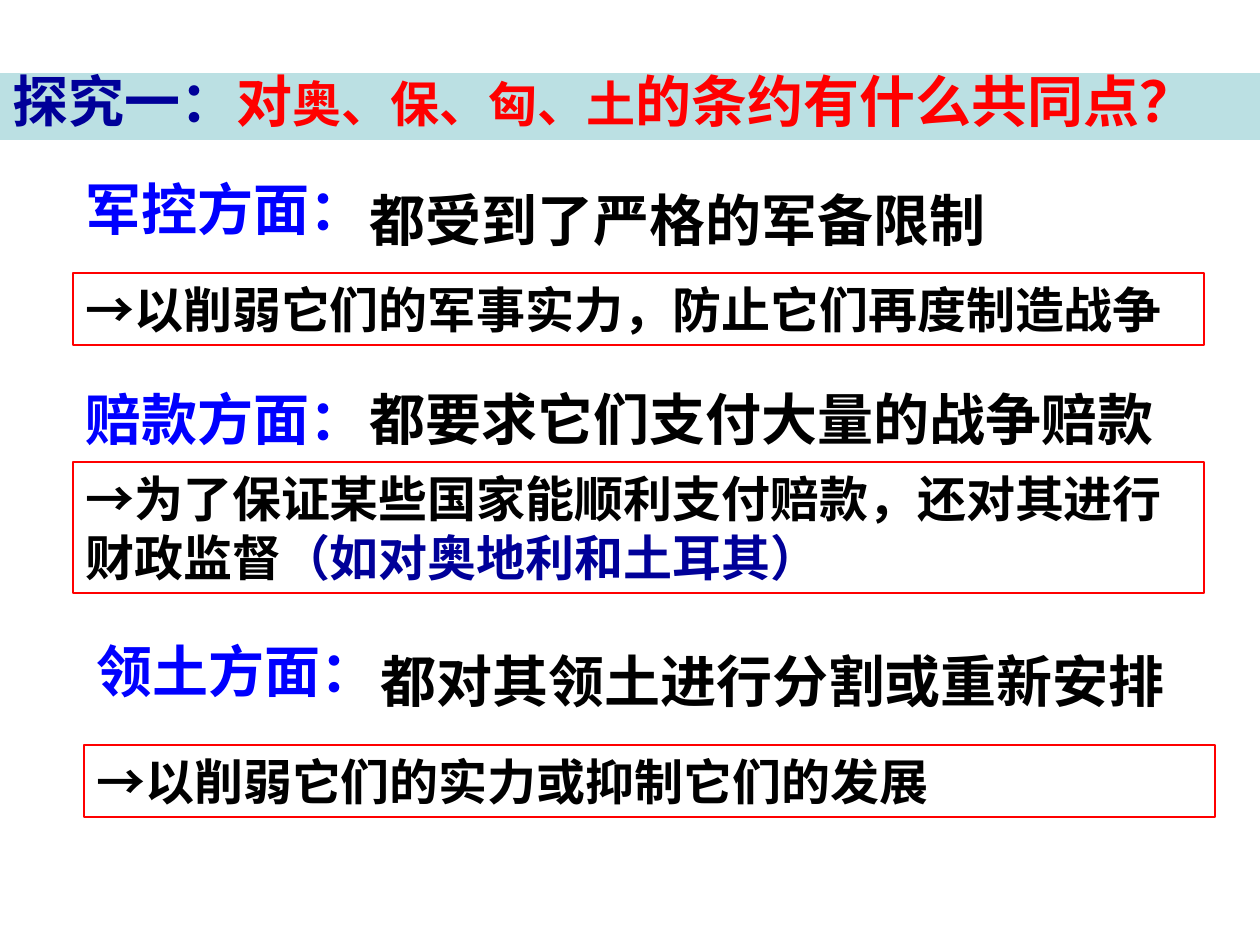
from pptx import Presentation, util as u
from pptx.dml.color import RGBColor
from pptx.enum import shapes, text

PX = 914400 / 126  # EMU per px
W, H = 1260, 945

BAND = RGBColor(0xBB, 0xE0, 0xE3)
NAVY = RGBColor(0x00, 0x00, 0x99)
BLUE = RGBColor(0x00, 0x00, 0xFF)
RED = RGBColor(0xFF, 0x00, 0x00)
BLACK = RGBColor(0x00, 0x00, 0x00)

LARGE, SMALL = 32, 28

# Runs: (text, colour, size)
TITLE = [
    ("探究一：", NAVY, LARGE),
    ("对", RED, LARGE),
    ("奥、保、匈、土", RED, SMALL),
    ("的条约有什么共同点？", RED, LARGE),
]

# Each aspect: left, (label, top), (finding, top, width), (purpose runs, top, height)
ASPECTS = [
    (73, ("军控方面：", 168), ("都受到了严格的军备限制", 179, 714),
     ([("→以削弱它们的军事实力，防止它们再度制造战争", BLACK, SMALL)], 273, 72)),
    (73, ("赔款方面：", 378), ("都要求它们支付大量的战争赔款", 378, 814),
     ([("→为了保证某些国家能顺利支付赔款，还对其进行财政监督", BLACK, SMALL),
       ("（如对奥地利和土耳其）", NAVY, SMALL)], 462, 131)),
    (84, ("领土方面：", 630), ("都对其领土进行分割或重新安排", 640, 814),
     ([("→以削弱它们的实力或抑制它们的发展", BLACK, SMALL)], 745, 72)),
]
LABEL_W, LINE_H = 397, 81
FINDING_DX = 284
PURPOSE_W = 1131


def px(n):
    return u.Emu(round(n * PX))


def add_text(s, runs, x, y, w, h, fill=None, line=None, spacing=None):
    box = [px(n) for n in (x, y, w, h)]
    if fill is None and line is None:
        sp = s.shapes.add_textbox(*box)
    else:
        sp = s.shapes.add_shape(shapes.MSO_SHAPE.RECTANGLE, *box)
        sp.shadow.inherit = False
        if fill is None:
            sp.fill.background()
        else:
            sp.fill.solid()
            sp.fill.fore_color.rgb = fill
        if line is None:
            sp.line.fill.background()
        else:
            sp.line.color.rgb = line
            sp.line.width = u.Pt(0.75)
    tf = sp.text_frame
    tf.word_wrap = True
    tf.auto_size = text.MSO_AUTO_SIZE.SHAPE_TO_FIT_TEXT
    tf.vertical_anchor = text.MSO_ANCHOR.TOP
    p = tf.paragraphs[0]
    p.alignment = text.PP_ALIGN.LEFT
    if spacing:
        p.line_spacing = spacing
    for words, color, size in runs:
        r = p.add_run()
        r.text = words
        r.font.name = "Arial"
        r.font.size = u.Pt(size)
        r.font.bold = True
        r.font.color.rgb = color


def main():
    prs = Presentation()
    prs.slide_width, prs.slide_height = px(W), px(H)
    s = prs.slides.add_slide(prs.slide_layouts[6])

    # Title band
    add_text(s, TITLE, 0, 73, W, 67, fill=BAND, spacing=0.8)

    # Label, finding and framed purpose of each aspect
    for x, (label, label_y), (finding, y, w), (purpose, top, h) in ASPECTS:
        add_text(s, [(label, BLUE, LARGE)], x, label_y, LABEL_W, LINE_H)
        add_text(s, [(finding, BLACK, LARGE)], x + FINDING_DX, y, w, LINE_H)
        add_text(s, purpose, x, top, PURPOSE_W, h, line=RED)

    prs.save("out.pptx")


if __name__ == "__main__":
    main()
